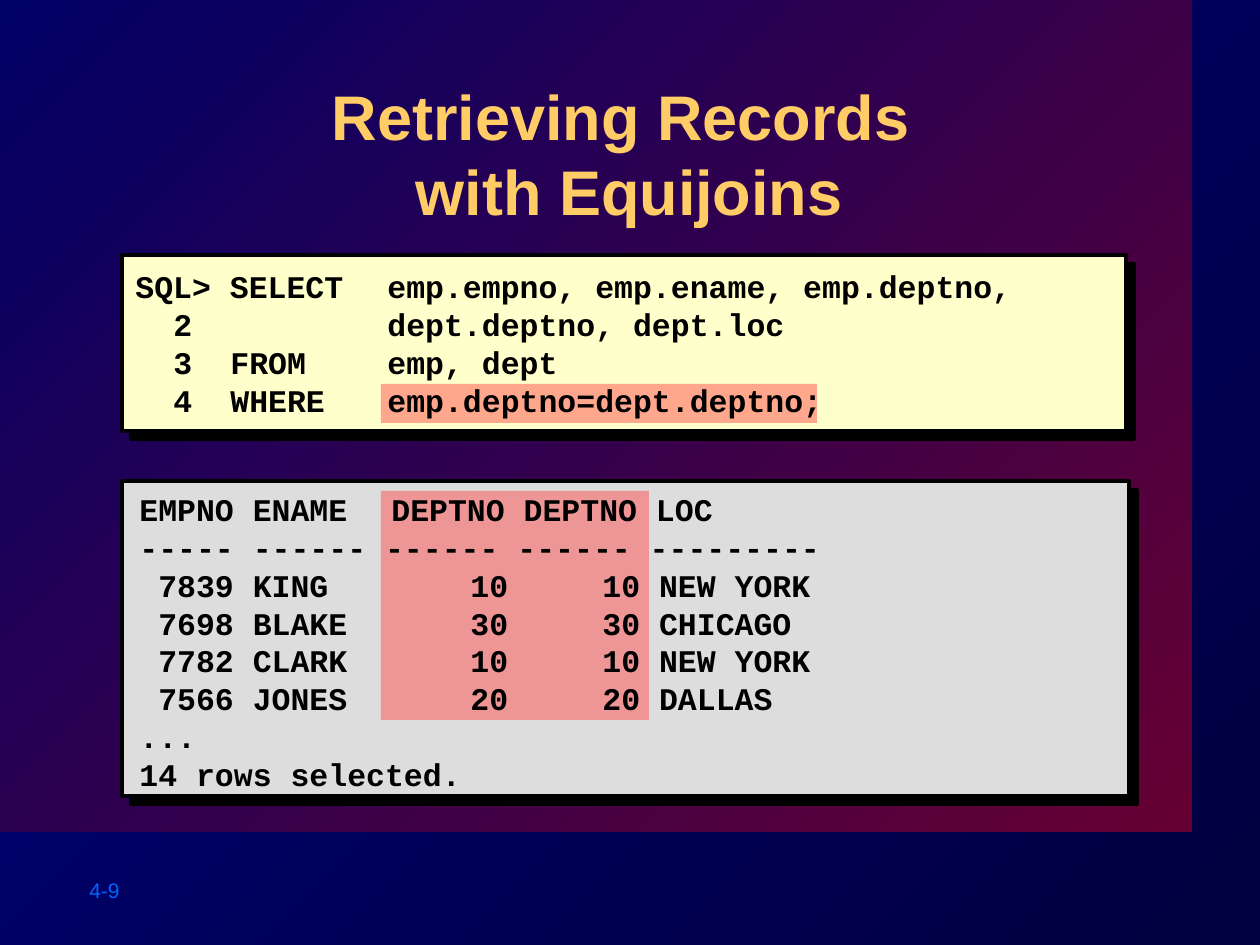
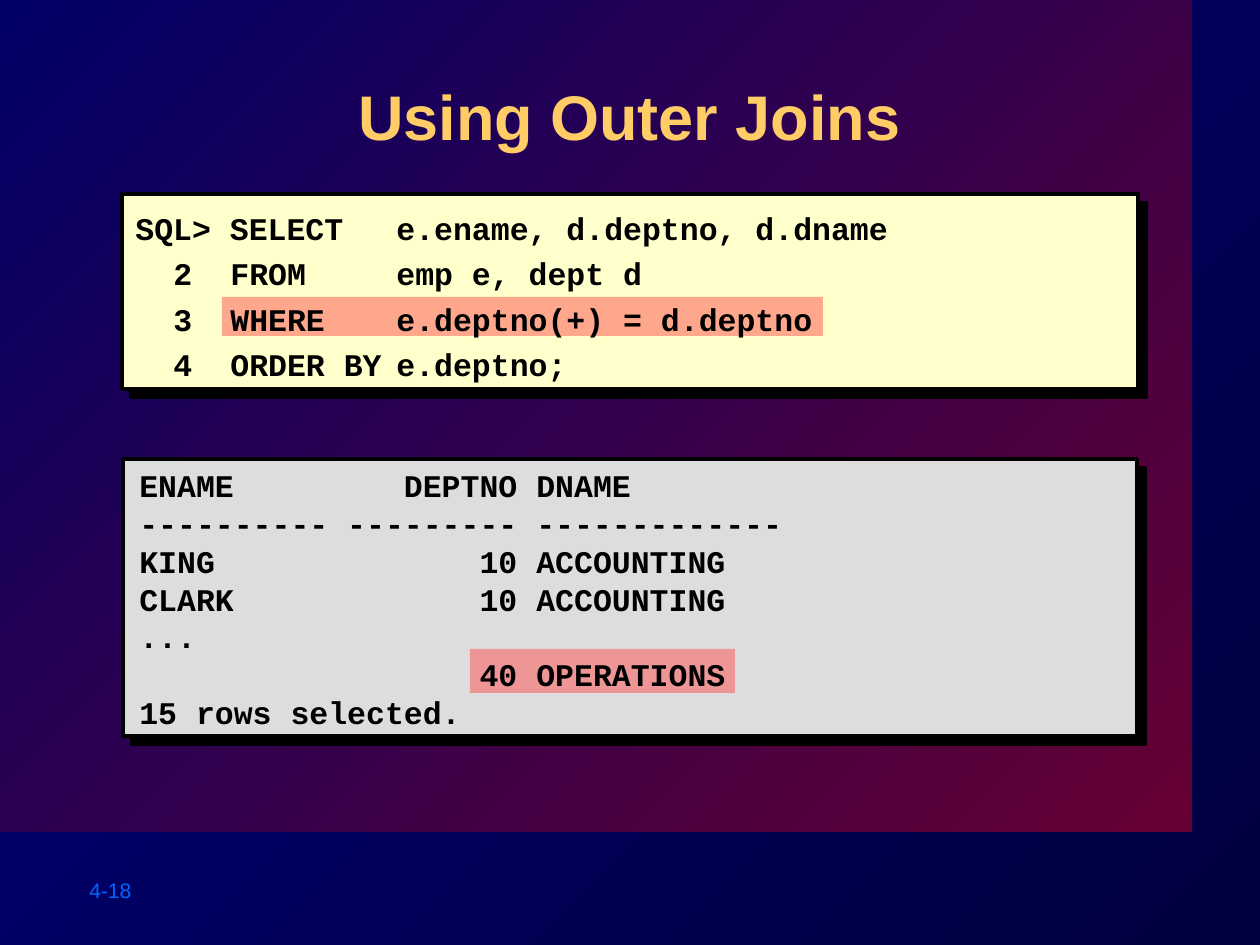
from lxml import etree
from pptx import Presentation
from pptx import util as u
from pptx.dml.color import RGBColor
from pptx.enum import shapes, text
from pptx.oxml import ns

PX = u.Inches(1) / 126

NAVY_DARK = RGBColor(0x00, 0x00, 0x3F)
NAVY = RGBColor(0x00, 0x00, 0x80)
WINE = RGBColor(0x66, 0x00, 0x33)
INDIGO = RGBColor(0x00, 0x00, 0x66)
GOLD = RGBColor(0xFF, 0xCC, 0x66)
CREAM = RGBColor(0xFF, 0xFF, 0xCC)
GREY = RGBColor(0xDD, 0xDD, 0xDD)
RED = RGBColor(0xFF, 0x50, 0x50)
BLUE = RGBColor(0x00, 0x66, 0xFF)
BLACK = RGBColor(0x00, 0x00, 0x00)

SANS, MONO = "Arial", "Courier New"
LEADING = 1.2


def px(n):
    return round(n * PX)


def box(at):
    return [px(n) for n in at]


def add_xml(parent, tag, **attrs):
    return etree.SubElement(parent, ns.qn(tag), attrs)


def add_shadow(effects):
    """Fill an a:effectLst with a hard black shadow to the lower right."""
    shadow = add_xml(effects, "a:outerShdw", blurRad="0", dist=str(u.Pt(7.1)),
                     dir="2700000", algn="ctr", rotWithShape="0")
    add_xml(shadow, "a:srgbClr", val=str(BLACK))


def diagonal_gradient(fill, lower_right, upper_left):
    fill.gradient()
    fill.gradient_angle = 135
    for stop, colour in zip(fill.gradient_stops, (lower_right, upper_left)):
        stop.color.rgb = colour


class Deck:
    def __init__(self):
        self.prs = Presentation()
        self.prs.slide_width, self.prs.slide_height = px(1260), px(945)
        diagonal_gradient(self.prs.slide_master.background.fill, NAVY_DARK, NAVY)
        self.s = None

    def slide(self, title, number):
        self.s = self.prs.slides.add_slide(self.prs.slide_layouts[5])
        self.backdrop()
        self.title(title)
        self.text((77, 871, 140, 38), [([], [number])], 12, SANS, BLUE, bold=False)

    def rect(self, at):
        sp = self.s.shapes.add_shape(shapes.MSO_SHAPE.RECTANGLE, *box(at))
        sp.shadow.inherit = False
        sp.line.fill.background()
        return sp

    def backdrop(self):
        sp = self.rect((0, 0, 1192, 832))
        diagonal_gradient(sp.fill, WINE, INDIGO)
        self.s.shapes.title._element.addprevious(sp._element)

    def title(self, title):
        sp = self.s.shapes.title
        sp.left, sp.top, sp.width, sp.height = box((127, 71, 1005, 121))
        tf = sp.text_frame
        tf.auto_size = text.MSO_AUTO_SIZE.NONE
        tf.vertical_anchor = text.MSO_ANCHOR.TOP
        p = tf.paragraphs[0]
        p.text = title
        p.alignment = text.PP_ALIGN.CENTER
        self.style(p, 36, SANS, GOLD)
        for r in p.runs:
            fill = r._r.get_or_add_rPr().find(ns.qn("a:solidFill"))
            effects = etree.Element(ns.qn("a:effectLst"))
            fill.addnext(effects)
            add_shadow(effects)

    def panel(self, at, colour):
        sp = self.rect(at)
        sp.fill.solid()
        sp.fill.fore_color.rgb = colour
        sp.line.color.rgb = BLACK
        sp.line.width = u.Pt(2)
        add_shadow(sp._element.spPr.find(ns.qn("a:effectLst")))

    def highlight(self, at):
        sp = self.rect(at)
        sp.fill.solid()
        sp.fill.fore_color.rgb = RED
        colour = sp._element.spPr.find(".//" + ns.qn("a:srgbClr"))
        add_xml(colour, "a:alpha", val="50000")

    def style(self, p, size, font, colour, bold=True, spacing=1):
        p.line_spacing = u.Pt(round(size * LEADING * spacing, 1))
        p.space_before = u.Pt(0)
        for r in p.runs:
            r.font.size = u.Pt(size)
            r.font.name = font
            r.font.bold = bold
            r.font.color.rgb = colour

    def text(self, at, blocks, size=18, font=MONO, colour=BLACK, bold=True,
             spacing=1, anchor=text.MSO_ANCHOR.TOP):
        """Write blocks of (tab stops, lines); a stop is (px, "l" or "r")."""
        tf = self.s.shapes.add_textbox(*box(at)).text_frame
        tf.word_wrap = True
        tf.vertical_anchor = anchor
        rows = [(stops, line) for stops, lines in blocks for line in lines]
        for i, (stops, line) in enumerate(rows):
            p = tf.add_paragraph() if i else tf.paragraphs[0]
            p.text = line
            self.style(p, size, font, colour, bold, spacing)
            if stops:
                tabs = add_xml(p._p.get_or_add_pPr(), "a:tabLst")
                for pos, align in stops:
                    add_xml(tabs, "a:tab", pos=str(px(pos)), algn=align)

    def query(self, at, clause_stop, lines, spacing=1):
        """Write SQL with stops for line number, keyword and clause."""
        stops = [(38, "l"), (95, "l"), (clause_stop, "l")]
        self.text(at, [(stops, lines)], spacing=spacing,
                  anchor=text.MSO_ANCHOR.MIDDLE)


def equijoins(deck):
    deck.slide("Retrieving Records \vwith Equijoins", "4-9")
    deck.panel((122, 255, 1004, 176), CREAM)
    deck.panel((122, 481, 1007, 315), GREY)
    deck.highlight((381, 384, 436, 39))
    deck.highlight((381, 491, 268, 229))
    deck.query((123, 253, 1008, 180), 252, [
        "SQL> SELECT\temp.empno, emp.ename, emp.deptno,",
        "\t2\t\tdept.deptno, dept.loc",
        "\t3\tFROM\temp, dept",
        "\t4\tWHERE\temp.deptno=dept.deptno;",
    ])
    deck.text((127, 484, 1003, 315), [
        ([(252, "l")], [
            "EMPNO ENAME\tDEPTNO DEPTNO LOC",
            "----- ------ ------ ------ ---------",
        ]),
        ([(331, "l"), (463, "l")], [
            " 7839 KING\t10\t10 NEW YORK",
            " 7698 BLAKE\t30\t30 CHICAGO",
            " 7782 CLARK\t10\t10 NEW YORK",
            " 7566 JONES\t20\t20 DALLAS",
        ]),
        ([], ["...", "14 rows selected."]),
    ])


def outer_joins(deck):
    deck.slide("Using Outer Joins", "4-18")
    deck.panel((122, 194, 1016, 195), CREAM)
    deck.panel((123, 459, 1014, 277), GREY)
    deck.highlight((222, 297, 601, 39))
    deck.highlight((470, 649, 265, 44))
    deck.query((123, 193, 1018, 198), 261, [
        "SQL> SELECT\te.ename, d.deptno, d.dname",
        "\t2\tFROM\temp e, dept d",
        "\t3\tWHERE\te.deptno(+) = d.deptno",
        "\t4\tORDER BY\te.deptno;",
    ], spacing=1.2)
    deck.text((127, 460, 1011, 277), [
        ([(378, "r"), (397, "l")], [
            "ENAME\tDEPTNO\tDNAME",
            "---------- --------- -------------",
            "KING\t10\tACCOUNTING",
            "CLARK\t10\tACCOUNTING",
            "...",
            "\t40\tOPERATIONS",
            "15 rows selected.",
        ]),
    ])


def main():
    deck = Deck()
    equijoins(deck)
    outer_joins(deck)
    deck.prs.save("out.pptx")


if __name__ == "__main__":
    main()
